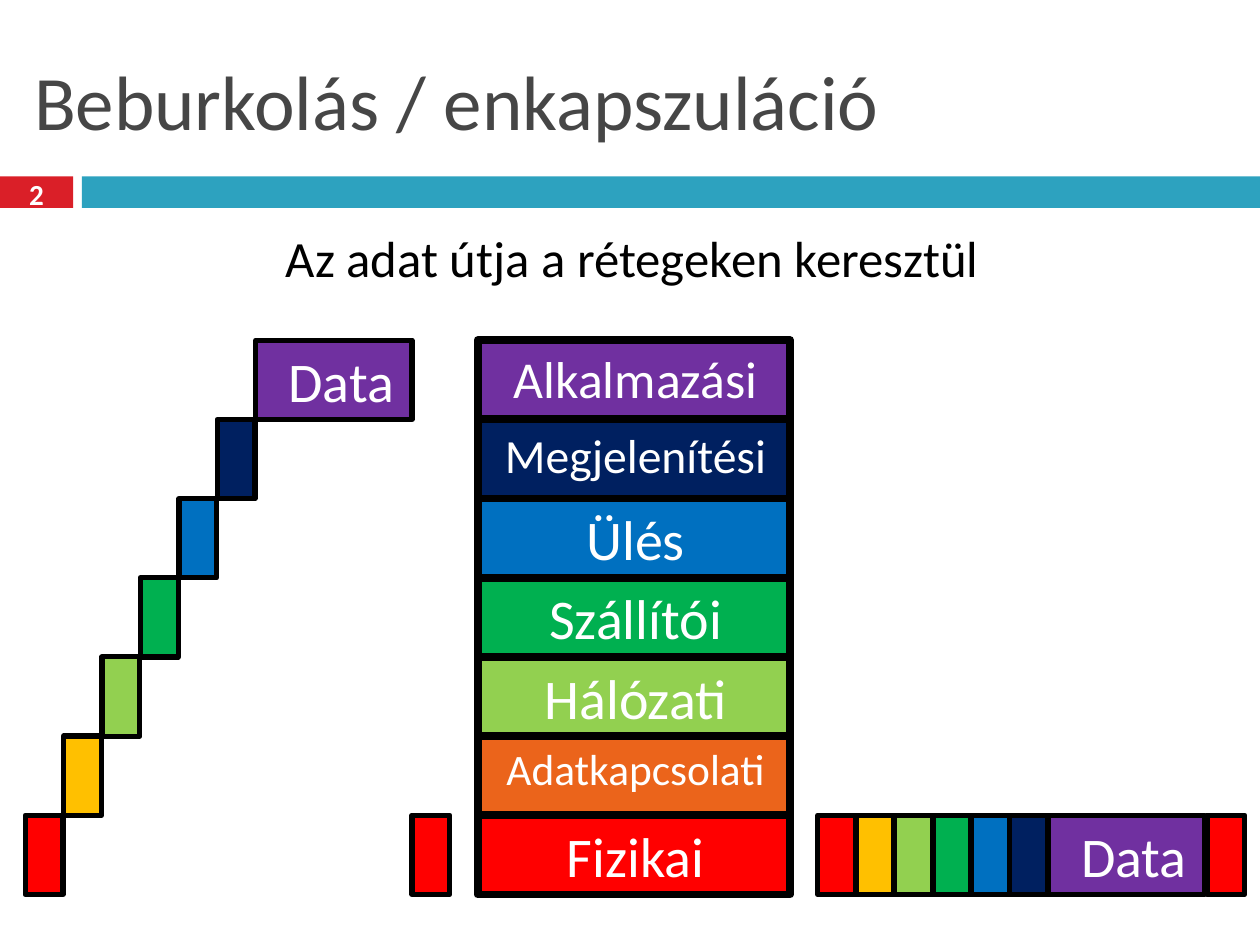
"""Build the encapsulation slide: headers added layer by layer, then the finished frame."""
from dataclasses import dataclass

from pptx import Presentation
from pptx import util as u
from pptx.dml.color import RGBColor
from pptx.enum import shapes, text
from pptx.oxml.ns import qn


@dataclass(frozen=True)
class Theme:
    font: str = "Calibri"
    title_ink: str = "464646"
    ink: str = "000000"
    light: str = "FFFFFF"
    accent: str = "DA1F28"
    band: str = "2DA2BF"
    title_pt: float = 44
    body_pt: float = 29
    label_pt: float = 32
    number_pt: float = 16.6
    packet_line_pt: float = 3
    stack_line_pt: float = 4.5


@dataclass(frozen=True)
class Layer:
    name: str
    fill: str
    header: str
    size: float


@dataclass(frozen=True)
class Box:
    left: float
    top: float
    width: float
    height: float

    def lengths(self) -> tuple:
        return tuple(u.Inches(v) for v in (self.left, self.top, self.width, self.height))


THEME = Theme()
LAYERS = [
    Layer("Alkalmazási", "7030A0", "7030A0", 29.6),
    Layer("Megjelenítési", "002060", "002060", 27.2),
    Layer("Ülés", "0070C0", "0070C0", THEME.label_pt),
    Layer("Szállítói", "00B050", "00B050", THEME.label_pt),
    Layer("Hálózati", "92D050", "92D050", THEME.label_pt),
    Layer("Adatkapcsolati", "EB641B", "FFC000", 24.8),
    Layer("Fizikai", "FF0000", "FF0000", THEME.label_pt),
]
STEPS = len(LAYERS) - 1
TOP, BOTTOM = 2.7, 6.47
ROW_STEP = (BOTTOM - TOP) / STEPS
ROW_HEIGHT = 0.63
HEADER_WIDTH, DATA_WIDTH = 0.3, 1.24
HEADER_STEP = 0.305


def write(sp, words: str, size: float, color: str, align=text.PP_ALIGN.CENTER,
          anchor=text.MSO_ANCHOR.TOP, bold: bool = False, indent: float = 0) -> None:
    """Put one formatted, unbulleted paragraph into a shape."""
    tf = sp.text_frame
    tf.text = words
    tf.word_wrap = True
    tf.auto_size = text.MSO_AUTO_SIZE.NONE
    tf.vertical_anchor = anchor
    p = tf.paragraphs[0]
    p.alignment = align
    p.space_before = u.Pt(0)
    pPr = p._p.get_or_add_pPr()
    pPr.set("marL", str(u.Inches(indent)))
    pPr.set("indent", "0")
    pPr.append(pPr.makeelement(qn("a:buNone"), {}))
    r = p.runs[0]
    r.font.name = THEME.font
    r.font.size = u.Pt(size)
    r.font.bold = bold
    r.font.color.rgb = RGBColor.from_string(color)


def add_block(slide, box: Box, fill: str, line_pt: float = 0):
    """Draw a flat rectangle, outlined when a line width is given."""
    sp = slide.shapes.add_shape(shapes.MSO_SHAPE.RECTANGLE, *box.lengths())
    sp.shadow.inherit = False
    sp.fill.solid()
    sp.fill.fore_color.rgb = RGBColor.from_string(fill)
    if line_pt:
        sp.line.color.rgb = RGBColor.from_string(THEME.ink)
        sp.line.width = u.Pt(line_pt)
    else:
        sp.line.fill.background()
    return sp


def place(sp, box: Box) -> None:
    """Move a placeholder to the given box."""
    sp.left, sp.top, sp.width, sp.height = box.lengths()


def add_packet(slide, left: float, data_top: float, row_step: float, gap: float) -> None:
    """Draw the data block, its headers running leftwards and the closing trailer."""
    for i, layer in enumerate(LAYERS):
        x = left + (STEPS - i) * HEADER_STEP
        width = HEADER_WIDTH if i else DATA_WIDTH
        box = Box(x, data_top + i * row_step, width, ROW_HEIGHT)
        sp = add_block(slide, box, layer.header, THEME.packet_line_pt)
        if i == 0:
            write(sp, "Data", THEME.label_pt, THEME.light, indent=0.12)
    trailer_left = left + STEPS * HEADER_STEP + DATA_WIDTH + gap
    add_block(slide, Box(trailer_left, BOTTOM, HEADER_WIDTH, ROW_HEIGHT),
              LAYERS[-1].header, THEME.packet_line_pt)


def add_stack(slide) -> None:
    """Draw the seven named layers from top to bottom."""
    for i, layer in enumerate(LAYERS):
        y = TOP + i * ROW_STEP
        add_block(slide, Box(3.79, y, 2.48, ROW_HEIGHT), layer.fill, THEME.stack_line_pt)
        label = slide.shapes.add_textbox(*Box(3.76, y, 2.45, ROW_HEIGHT).lengths())
        write(label, layer.name, layer.size, THEME.light, indent=0.12)


def main() -> None:
    """Assemble and save the slide."""
    prs = Presentation()
    prs.slide_width, prs.slide_height = u.Inches(10), u.Inches(7.5)
    slide = prs.slides.add_slide(prs.slide_layouts[1])

    title, body = slide.shapes.title, slide.placeholders[1]
    place(title, Box(0.17, 0.25, 9.67, 1.08))
    write(title, "Beburkolás / enkapszuláció", THEME.title_pt, THEME.title_ink,
          align=text.PP_ALIGN.LEFT, anchor=text.MSO_ANCHOR.MIDDLE)
    place(body, Box(0.2, 1.75, 9.64, 0.65))
    write(body, "Az adat útja a rétegeken keresztül", THEME.body_pt, THEME.ink)

    add_block(slide, Box(0, 1.4, 0.58, 0.25), THEME.accent)
    add_block(slide, Box(0.65, 1.4, 9.35, 0.25), THEME.band)
    number = slide.shapes.add_textbox(*Box(0, 1.37, 0.58, 0.33).lengths())
    write(number, "2", THEME.number_pt, THEME.light,
          anchor=text.MSO_ANCHOR.MIDDLE, bold=True)

    add_packet(slide, left=0.2, data_top=TOP, row_step=ROW_STEP, gap=0)
    add_packet(slide, left=6.49, data_top=BOTTOM, row_step=0, gap=0.02)
    add_stack(slide)
    prs.save("out.pptx")


if __name__ == "__main__":
    main()
